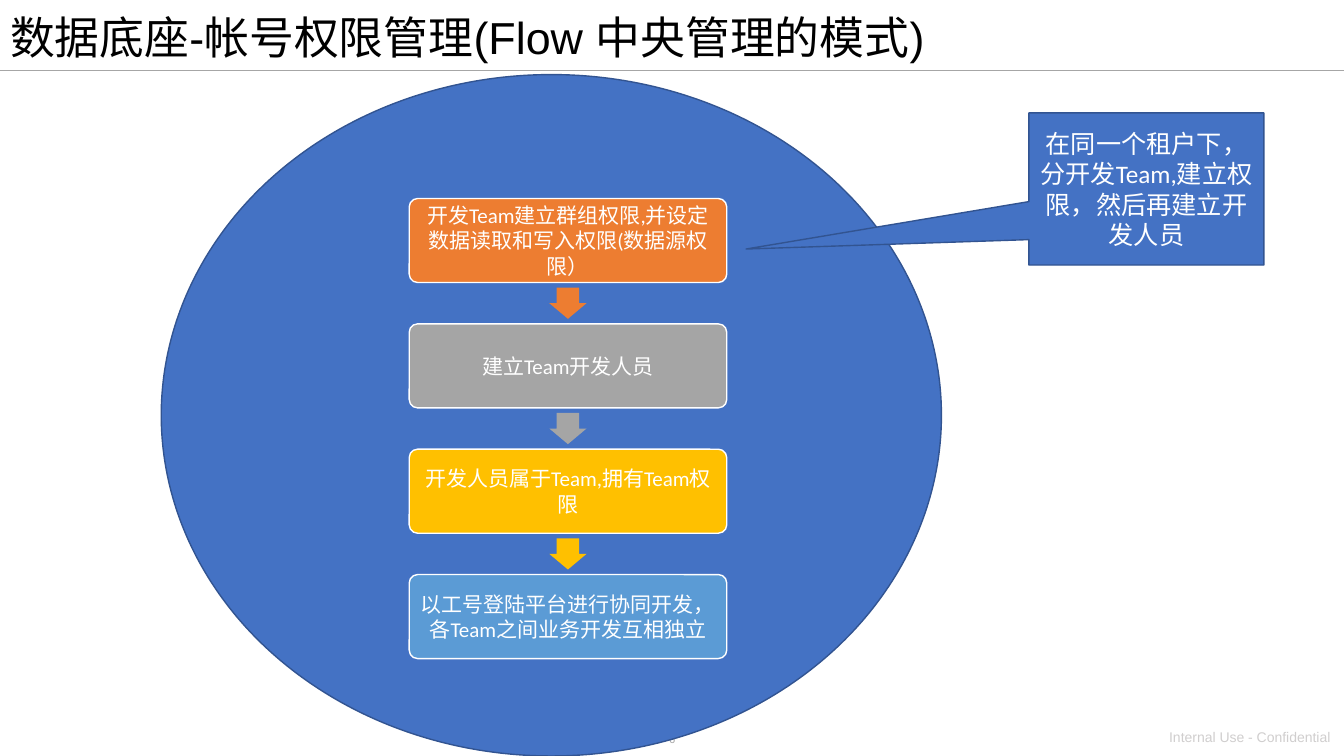
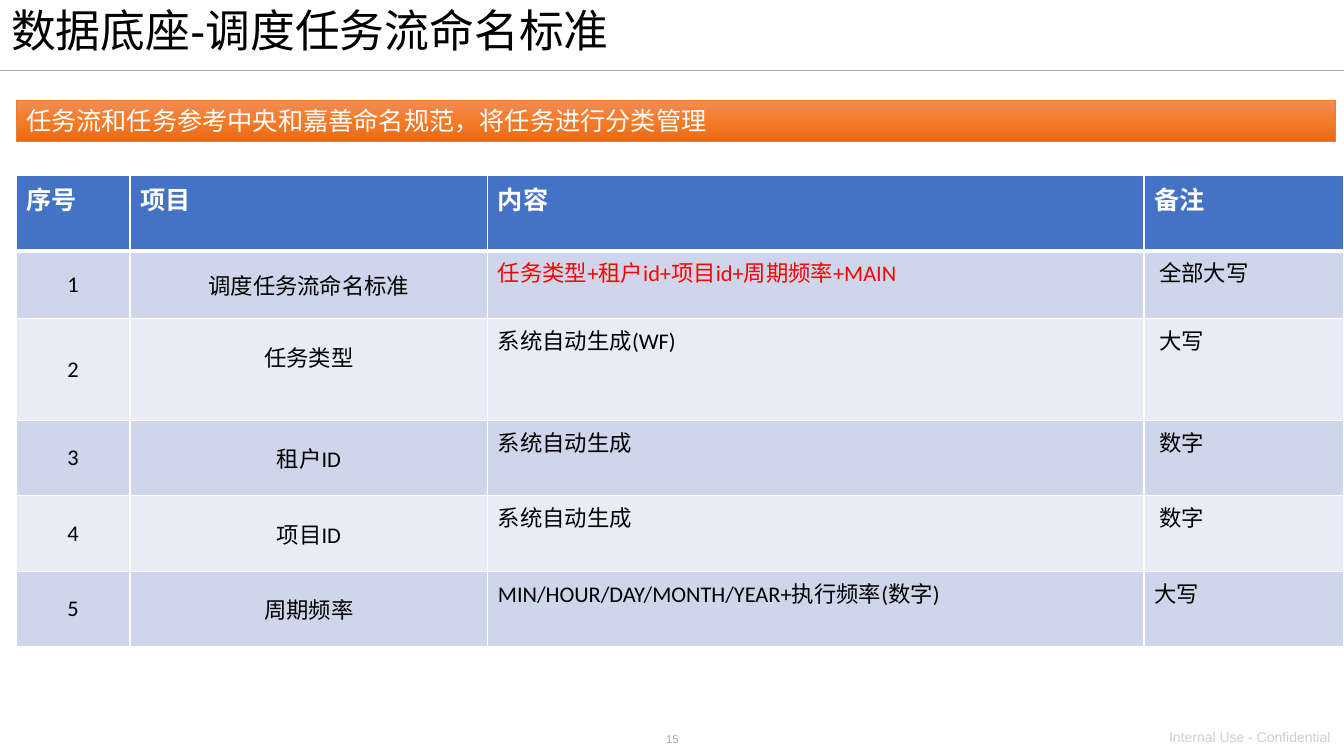
import copy
import dataclasses
import typing

import lxml.etree
import pptx
import pptx.dml.color
import pptx.enum.shapes
import pptx.enum.text
import pptx.oxml.ns
import pptx.util

Pt = pptx.util.Pt
Shape = pptx.enum.shapes.MSO_SHAPE
Align = pptx.enum.text.PP_ALIGN
Anchor = pptx.enum.text.MSO_ANCHOR
qn = pptx.oxml.ns.qn


class Box(typing.NamedTuple):
    """Hold a region of the slide in points."""
    x: float
    y: float
    w: float
    h: float

    def emu(self):
        """Return the region as lengths for python-pptx."""
        return [Pt(v) for v in self]


@dataclasses.dataclass(frozen=True)
class Theme:
    """Keep the colours, fonts and type sizes of the deck."""
    head_font: str = "Arial"
    body_font: str = "Calibri"
    title_size: int = 32
    lead_size: int = 18
    cell_size: int = 16
    step_size: int = 15
    footer_size: int = 10
    page_size: int = 8
    black: str = "000000"
    white: str = "FFFFFF"
    red: str = "FF0000"
    rule: str = "A6A6A6"
    footer: str = "D0CECE"
    blue: str = "4472C4"
    blue_edge: str = "325491"
    orange: str = "ED7D31"
    steps: tuple = ("ED7D31", "A5A5A5", "FFC000", "5B9BD5")
    bands: tuple = ("CFD5EA", "E9EBF5")
    gradient: tuple = ((0, "F18C57"), (0.5, "F67B28"), (1, "E56C19"))


T = Theme()
WIDTH, HEIGHT = 960, 540
RULE_Y = 50.4
FOOTER = "Internal Use - Confidential"

STEPS = (
    "开发Team建立群组权限,并设定数据读取和写入权限(数据源权限）",
    "建立Team开发人员",
    "开发人员属于Team,拥有Team权限",
    "以工号登陆平台进行协同开发，各Team之间业务开发互相独立",
)
COLUMNS = (81.4, 255.6, 468.7, 142.6)
ROWS = (
    (54, ("序号", "项目", "内容", "备注")),
    (48.2, ("1", "调度任务流命名标准", "任务类型+租户id+项目id+周期频率+MAIN", "全部大写")),
    (72.7, ("2", "任务类型", "系统自动生成(WF)", "大写")),
    (54, ("3", "租户ID", "系统自动生成", "数字")),
    (54, ("4", "项目ID", "系统自动生成", "数字")),
    (54, ("5", "周期频率", "MIN/HOUR/DAY/MONTH/YEAR+执行频率(数字)", "大写")),
)


def rgb(value):
    """Turn a hex string into a colour."""
    return pptx.dml.color.RGBColor.from_string(value)


def set_text(tf, text, size, color, font=T.body_font, align=Align.LEFT, bold=False):
    """Fill a text frame with one formatted paragraph."""
    tf.text = text
    tf.word_wrap = True
    p = tf.paragraphs[0]
    p.alignment = align
    for r in p.runs:
        r.font.name, r.font.size, r.font.bold = font, Pt(size), bold
        r.font.color.rgb = rgb(color)
    return p


def add_block(s, kind, box, fill, line=None, width=1):
    """Add a flat preset shape with an optional outline."""
    sp = s.shapes.add_shape(kind, *box.emu())
    sp.shadow.inherit = False
    sp.fill.solid()
    sp.fill.fore_color.rgb = rgb(fill)
    if line:
        sp.line.color.rgb = rgb(line)
        sp.line.width = Pt(width)
    else:
        sp.line.fill.background()
    return sp


def add_label(s, box, text, size, color, align=Align.LEFT):
    """Add a footer text box."""
    tf = s.shapes.add_textbox(*box.emu()).text_frame
    set_text(tf, text, size, color, T.head_font, align)
    tf.margin_right = 0 if align == Align.LEFT else tf.margin_left


def add_frame(prs, title, page, title_box):
    """Add a slide with the shared title, rule and footer."""
    s = prs.slides.add_slide(prs.slide_layouts.get_by_name("Title Only"))
    rule = s.shapes.add_connector(
        pptx.enum.shapes.MSO_CONNECTOR.STRAIGHT, Pt(0), Pt(RULE_Y), Pt(WIDTH), Pt(RULE_Y))
    rule.line.color.rgb = rgb(T.rule)
    rule.line.width = Pt(1)
    lxml.etree.SubElement(rule.element.spPr, qn("a:effectLst"))
    add_label(s, Box(416.9, 519.8, 126.7, 17.3), page, T.page_size, T.rule, Align.CENTER)
    add_label(s, Box(828, 517, 132, 19.4), FOOTER, T.footer_size, T.footer)
    sp = s.shapes.title
    sp.left, sp.top, sp.width, sp.height = title_box.emu()
    tf = sp.text_frame
    p = set_text(tf, title, T.title_size, T.black, T.head_font)
    p.line_spacing = 0.9
    tf.vertical_anchor = Anchor.MIDDLE
    tf.auto_size = pptx.enum.text.MSO_AUTO_SIZE.NONE
    return s


def add_flow(s, box):
    """Stack the steps in a box with an arrow in each gap."""
    step_h, arrow_w, arrow_h = 60, 26.6, 22.3
    pitch = (box.h - step_h) / (len(STEPS) - 1)
    for i, (text, color) in enumerate(zip(STEPS, T.steps)):
        y = box.y + i * pitch
        sp = add_block(s, Shape.ROUNDED_RECTANGLE, Box(box.x, y, box.w, step_h), color, T.white)
        sp.adjustments[0] = 0.1
        tf = sp.text_frame
        set_text(tf, text, T.step_size, T.white, align=Align.CENTER)
        tf.vertical_anchor = Anchor.MIDDLE
        tf.margin_left = tf.margin_right = tf.margin_top = tf.margin_bottom = Pt(4.5)
        if i < len(STEPS) - 1:
            arrow = add_block(s, Shape.DOWN_ARROW, Box(
                box.x + (box.w - arrow_w) / 2,
                y + (step_h + pitch - arrow_h) / 2, arrow_w, arrow_h), color)
            arrow.adjustments[0], arrow.adjustments[1] = 0.6, 0.5


def add_callout(s, box, text):
    """Add the callout that points at the first step."""
    sp = add_block(s, Shape.RECTANGULAR_CALLOUT, box, T.blue, T.blue_edge)
    sp.adjustments[0], sp.adjustments[1] = -1.704, 0.395
    set_text(sp.text_frame, text, T.lead_size, T.white, align=Align.CENTER)
    sp.text_frame.vertical_anchor = Anchor.MIDDLE


def add_banner(s, box, text):
    """Add the lead sentence on a vertical gradient."""
    sp = add_block(s, Shape.RECTANGLE, box, T.orange, T.orange, 0.5)
    sp.fill.gradient()
    sp.fill.gradient_angle = 270
    first = sp.element.xpath(".//a:gs")[0]
    first.addnext(copy.deepcopy(first))
    for stop, (position, color) in zip(sp.fill.gradient_stops, T.gradient):
        stop.position = position
        stop.color.rgb = rgb(color)
    set_text(sp.text_frame, text, T.lead_size, T.white)
    sp.text_frame.vertical_anchor = Anchor.TOP


def set_borders(cell, top, bottom):
    """Draw white borders around a table cell."""
    tcPr = cell._tc.get_or_add_tcPr()
    for side, width in (("L", 1), ("R", 1), ("T", top), ("B", bottom)):
        ln = lxml.etree.SubElement(tcPr, qn("a:ln" + side), w=str(Pt(width)))
        fill = lxml.etree.SubElement(ln, qn("a:solidFill"))
        lxml.etree.SubElement(fill, qn("a:srgbClr"), val=T.white)


def add_naming_table(s, box):
    """Add the table of naming rules."""
    table = s.shapes.add_table(len(ROWS), len(COLUMNS), *box.emu()).table
    for column, width in zip(table.columns, COLUMNS):
        column.width = Pt(width)
    for i, (height, texts) in enumerate(ROWS):
        table.rows[i].height = Pt(height)
        head = i == 0
        for j, text in enumerate(texts):
            cell = table.cell(i, j)
            set_borders(cell, 3 if i == 1 else 1, 3 if head else 1)
            cell.fill.solid()
            cell.fill.fore_color.rgb = rgb(T.blue if head else T.bands[(i - 1) % 2])
            centred = not head and j < 2
            color = T.white if head else T.red if (i, j) == (1, 2) else T.black
            set_text(cell.text_frame, text, T.lead_size if head else T.cell_size, color,
                     align=Align.CENTER if centred else Align.LEFT, bold=head)
            cell.vertical_anchor = Anchor.MIDDLE if centred else Anchor.TOP
    for i in range(1, len(ROWS) - 1):
        table.cell(i, 3).margin_left = Pt(10.8)
    table.cell(2, 1).margin_bottom = Pt(22)


def build_permission_slide(prs):
    """Build the slide on account permissions."""
    s = add_frame(prs, "数据底座-帐号权限管理(Flow 中央管理的模式)", "6", Box(0, 4.3, 758, 49))
    add_block(s, Shape.OVAL, Box(115.2, 53.3, 557.3, 486.7), T.blue, T.blue_edge)
    add_flow(s, Box(292.3, 141.8, 226.8, 328.6))
    add_callout(s, Box(735, 80.6, 167.8, 108.7),
                "在同一个租户下，分开发Team,建立权限，然后再建立开发人员")


def build_naming_slide(prs):
    """Build the slide on task flow naming."""
    s = add_frame(prs, "数据底座-调度任务流命名标准", "15", Box(0.7, -0.7, 758, 49))
    add_naming_table(s, Box(11.5, 125.3, sum(COLUMNS), sum(h for h, _ in ROWS)))
    add_banner(s, Box(11.5, 72, 942.5, 28.8),
               "任务流和任务参考中央和嘉善命名规范，将任务进行分类管理")


def main():
    """Build and save the deck."""
    prs = pptx.Presentation()
    prs.slide_width, prs.slide_height = Pt(WIDTH), Pt(HEIGHT)
    build_permission_slide(prs)
    build_naming_slide(prs)
    prs.save("out.pptx")


if __name__ == "__main__":
    main()
